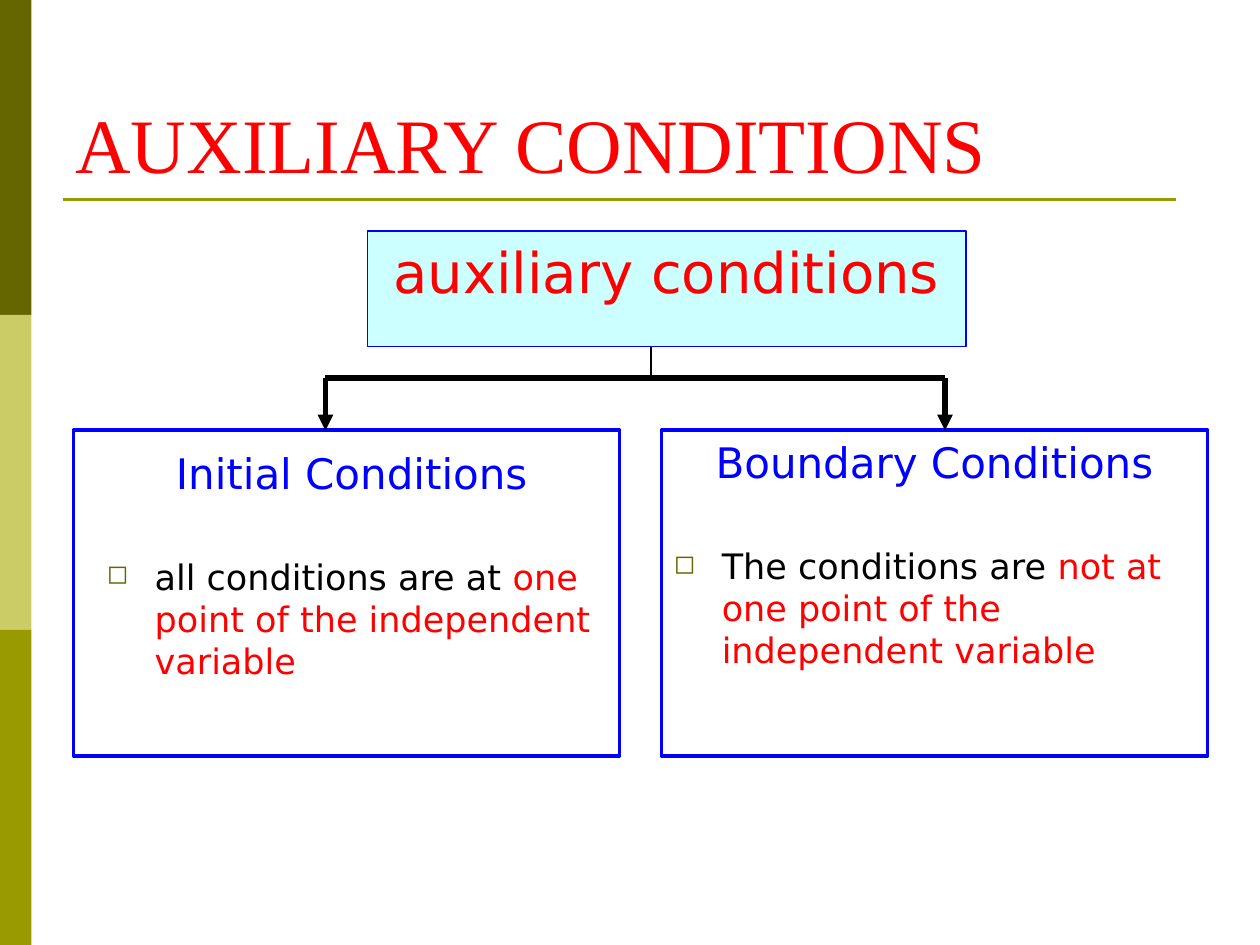
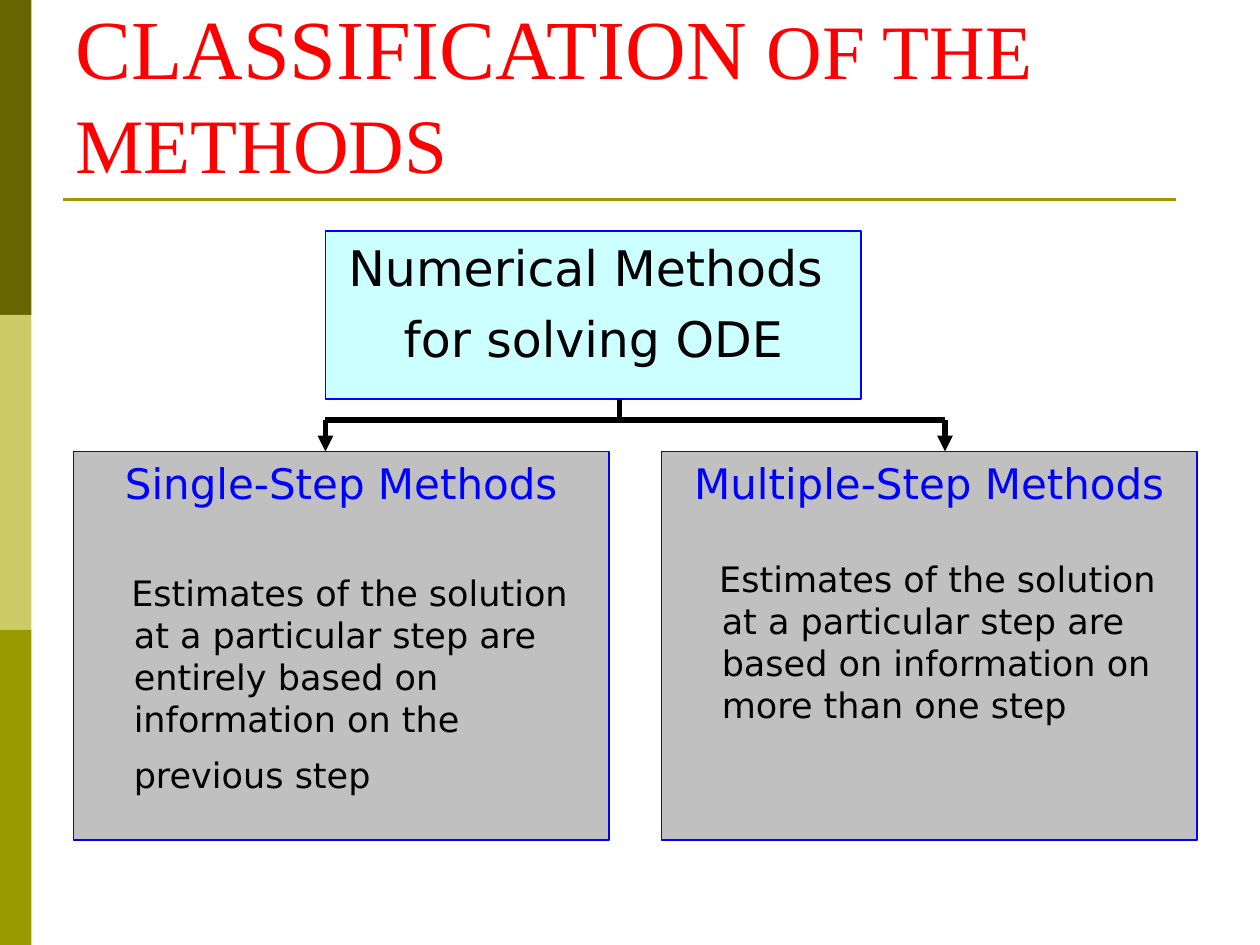
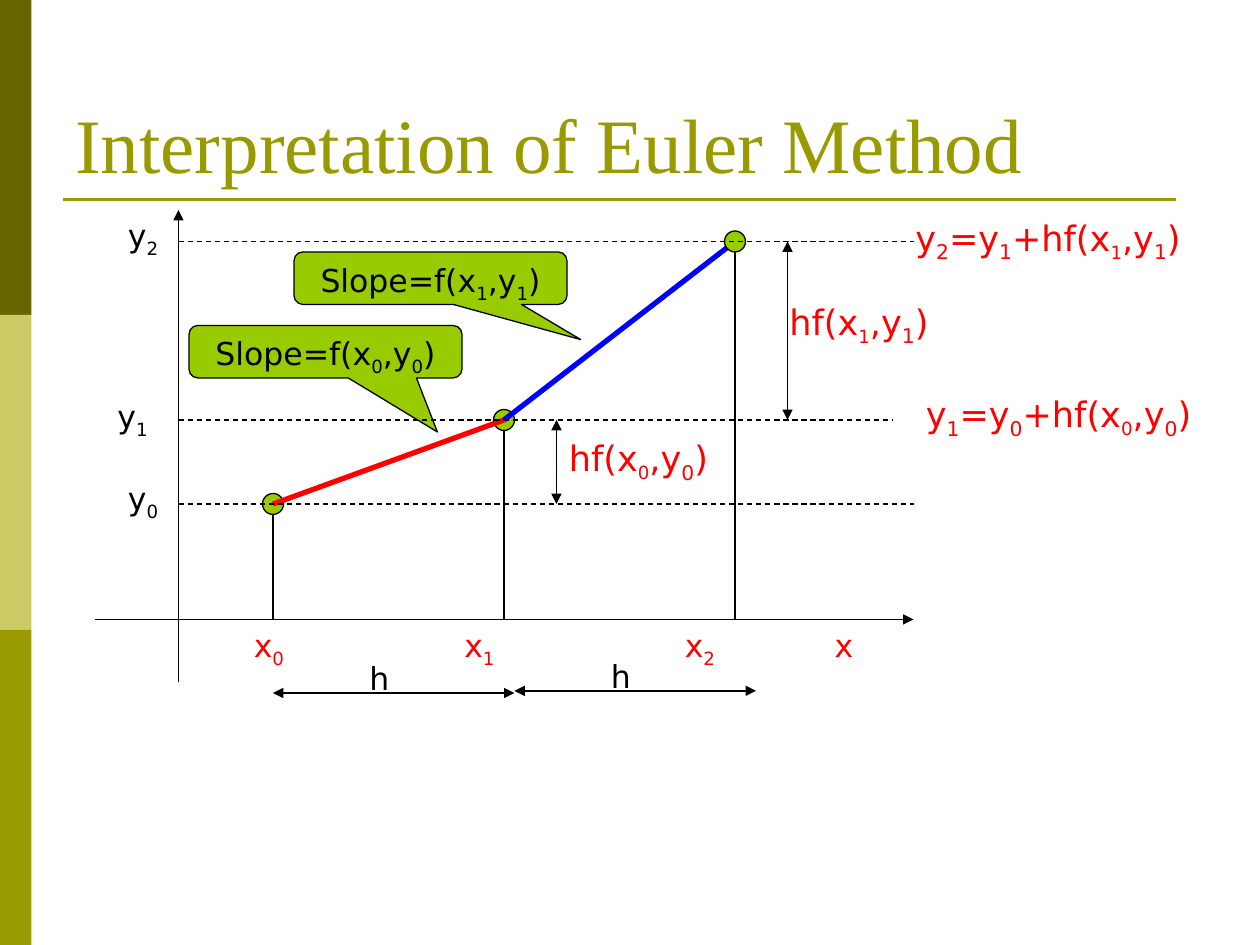
import dataclasses
import itertools

import lxml.etree
import pptx
import pptx.dml.color
import pptx.enum.dml
import pptx.enum.shapes
import pptx.enum.text
import pptx.oxml.ns
import pptx.util

SHAPES = pptx.enum.shapes.MSO_SHAPE
ANCHOR = pptx.enum.text.MSO_ANCHOR
CENTER = pptx.enum.text.PP_ALIGN.CENTER
GROW = pptx.enum.text.MSO_AUTO_SIZE.SHAPE_TO_FIT_TEXT
DASH = pptx.enum.dml.MSO_LINE.DASH


@dataclasses.dataclass(frozen=True)
class Theme:
    title_font: str = "Times New Roman"
    body_font: str = "DejaVu Sans"
    black: str = "000000"
    red: str = "FF0000"
    blue: str = "0000FF"
    olive: str = "999900"
    dark_olive: str = "666600"
    pale_olive: str = "CCCC66"
    cyan: str = "CCFFFF"
    gray: str = "C0C0C0"
    lime: str = "99CC00"
    title: int = 44
    big_title: int = 48
    root: int = 32
    method_root: int = 28
    heading: int = 24
    body: int = 20
    label: int = 18
    hairline: float = 0.75
    rule: float = 1.5
    frame: float = 2.25
    thick: float = 3


THEME = Theme()


def rgb(colour):
    return pptx.dml.color.RGBColor.from_string(colour)


def apply(target, values):
    for attribute, value in values.items():
        setattr(target, attribute, value)


def add_xml(parent, tag, **attributes):
    return lxml.etree.SubElement(parent, pptx.oxml.ns.qn(tag), attributes)


def run(text, size, colour=THEME.black, font=THEME.body_font, baseline=0):
    return dict(text=text, size=size, colour=colour, font=font, baseline=baseline)


def para(*runs, bullet=False, hanging=None, tabs=(), **values):
    return dict(runs=runs, bullet=bullet, hanging=hanging, tabs=tabs, values=values)


def formula(text, size, colour=THEME.black):
    base, *tails = text.split("_")
    runs = [run(base, size, colour)]
    for tail in tails:
        sub_size = THEME.label if base.endswith("x") else size
        runs.append(run(tail[0], sub_size, colour, baseline=-25000))
        base = tail[1:]
        if base:
            runs.append(run(base, size, colour))
    return runs


class Deck:
    COLUMNS, ROWS = 120, 90

    def __init__(self, theme):
        self.theme = theme
        self.presentation = pptx.Presentation()
        apply(self.presentation, dict(
            slide_width=pptx.util.Inches(10), slide_height=pptx.util.Inches(7.5)))
        self.slide = None

    def place(self, *lengths):
        sizes = itertools.cycle((
            self.presentation.slide_width / self.COLUMNS,
            self.presentation.slide_height / self.ROWS))
        return [round(length * size) for length, size in zip(lengths, sizes)]

    def new_slide(self, *title_runs):
        theme = self.theme
        self.slide = self.presentation.slides.add_slide(self.presentation.slide_layouts[6])
        band = self.ROWS / 3
        for row, colour in enumerate((theme.dark_olive, theme.pale_olive, theme.olive)):
            self.box((0, row * band, 3, band), fill=colour)
        self.line((6, 19), (112, 19), theme.olive, theme.rule)
        self.text((6, 3.6, 108, 15), para(*title_runs), vertical_anchor=ANCHOR.BOTTOM)

    def set_text(self, frame, paragraphs, **values):
        margins = dict(margin_left=0.1, margin_right=0.1, margin_top=0.05, margin_bottom=0.05)
        apply(frame, {side: pptx.util.Inches(gap) for side, gap in margins.items()})
        apply(frame, dict(word_wrap=True, vertical_anchor=ANCHOR.TOP) | values)
        for index, content in enumerate(paragraphs):
            paragraph = frame.add_paragraph() if index else frame.paragraphs[0]
            properties = paragraph._p.get_or_add_pPr()
            if content["hanging"]:
                properties.set("marL", str(pptx.util.Inches(0.38)))
                properties.set("indent", str(-pptx.util.Inches(content["hanging"])))
            if content["bullet"]:
                colour = add_xml(properties, "a:buClr")
                add_xml(colour, "a:srgbClr", val=self.theme.dark_olive)
                add_xml(properties, "a:buSzPct", val="75000")
                add_xml(properties, "a:buChar", char="◻")
            if content["tabs"]:
                stops = add_xml(properties, "a:tabLst")
                for stop in content["tabs"]:
                    add_xml(stops, "a:tab", pos=str(pptx.util.Inches(stop)), algn="l")
            apply(paragraph, content["values"])
            for part in content["runs"]:
                piece = paragraph.add_run()
                piece.text = part["text"]
                apply(piece.font, dict(size=pptx.util.Pt(part["size"]), name=part["font"]))
                piece.font.color.rgb = rgb(part["colour"])
                if part["baseline"]:
                    piece._r.get_or_add_rPr().set("baseline", str(part["baseline"]))

    def text(self, area, *paragraphs, **values):
        holder = self.slide.shapes.add_textbox(*self.place(*area))
        self.set_text(holder.text_frame, paragraphs, **values)

    def label(self, area, content, size, colour=THEME.black, tabs=()):
        self.text(area, para(*formula(content, size, colour), tabs=tabs), auto_size=GROW)

    def box(self, area, *paragraphs, fill=None, outline=None, weight=THEME.hairline,
            kind=SHAPES.RECTANGLE, adjust=()):
        shape = self.slide.shapes.add_shape(kind, *self.place(*area))
        shape.shadow.inherit = False
        for index, value in enumerate(adjust):
            shape.adjustments[index] = value
        if fill:
            shape.fill.solid()
            shape.fill.fore_color.rgb = rgb(fill)
        else:
            shape.fill.background()
        if outline:
            shape.line.color.rgb = rgb(outline)
            shape.line.width = pptx.util.Pt(weight)
        else:
            shape.line.fill.background()
        if paragraphs:
            self.set_text(shape.text_frame, paragraphs)

    def line(self, start, end, colour=THEME.black, weight=THEME.hairline, dash=None, arrows=()):
        connector = self.slide.shapes.add_connector(
            pptx.enum.shapes.MSO_CONNECTOR.STRAIGHT, *self.place(*start, *end))
        connector.line.color.rgb = rgb(colour)
        apply(connector.line, dict(width=pptx.util.Pt(weight), dash_style=dash))
        for arrow in arrows:
            add_xml(connector.line._get_or_add_ln(), f"a:{arrow}End", type="triangle")
        add_xml(connector._element.spPr, "a:effectLst")

    def span(self, start, end):
        self.line(start, end, arrows=("head", "tail"))

    def branch(self, stem, top, bar, bottom, stem_weight):
        left, right = 31, 90
        thick = self.theme.thick
        self.line((stem, top), (stem, bar), weight=stem_weight)
        self.line((left, bar), (right, bar), weight=thick)
        for column in (left, right):
            self.line((column, bar), (column, bottom), weight=thick, arrows=("tail",))

    def dot(self, column, row):
        self.box((column - 1, row - 1, 2, 2), fill=self.theme.lime,
                 outline=self.theme.black, kind=SHAPES.OVAL)

    def callout(self, area, content, adjust):
        self.box(area, para(*formula(content, self.theme.label), alignment=CENTER),
                 fill=self.theme.lime, outline=self.theme.black,
                 kind=SHAPES.ROUNDED_RECTANGULAR_CALLOUT, adjust=adjust)


def title_run(text, colour=THEME.red, size=THEME.title):
    return run(text, size, colour, THEME.title_font)


def heading(text):
    return para(run(text, THEME.heading, THEME.blue), alignment=CENTER)


def auxiliary_conditions(deck):
    theme = deck.theme
    deck.new_slide(title_run("AUXILIARY CONDITIONS"))
    conditions = (
        ((63, 41, 52, 30), 63, "Boundary Conditions", "The conditions are ",
         "not at one point of the independent variable"),
        ((9, 42, 49, 28), 7, "Initial Conditions", "all conditions are at ",
         "one point of the independent variable"),
    )
    for area, frame_left, name, opening, emphasis in conditions:
        rule = para(run(opening, theme.body), run(emphasis, theme.body, theme.red),
                    bullet=True, hanging=0.38, space_before=pptx.util.Pt(33))
        deck.text(area, heading(name), rule)
        deck.box((frame_left, 41, 52, 31), outline=theme.blue, weight=theme.frame)
    deck.box((35, 22, 57, 11),
             para(run("auxiliary conditions", theme.root, theme.red), alignment=CENTER),
             fill=theme.cyan, outline=theme.blue)
    deck.branch(62, 33, 36, 41, theme.hairline)


def classification(deck):
    theme = deck.theme
    deck.new_slide(title_run("CLASSIFICATION", size=theme.big_title),
                   title_run(" OF THE METHODS"))
    deck.box((31, 22, 51, 16),
             para(run("Numerical Methods ", theme.method_root), alignment=CENTER),
             para(run("for solving ODE", theme.method_root), alignment=CENTER,
                  space_before=pptx.util.Pt(7)),
             fill=theme.cyan, outline=theme.blue)
    methods = (
        (63, "Multiple-Step Methods", 28,
         [run("Estimates of the solution at a particular step are based on information "
              "on more than one step", theme.body)]),
        (7, "Single-Step Methods", 36,
         [run("Estimates of the solution at a particular step are entirely based on "
              "information on the previous step", theme.body), run(" ", theme.method_root)]),
    )
    for left, name, gap, description in methods:
        deck.box((left, 43, 51, 37), heading(name),
                 para(*description, hanging=0.02, space_before=pptx.util.Pt(gap)),
                 fill=theme.gray, outline=theme.blue)
    deck.branch(59, 38, 40, 43, theme.thick)


def euler_method(deck):
    theme = deck.theme
    deck.new_slide(title_run("Interpretation of Euler Method", theme.olive))
    axis_row, axis_column = 59, 17
    steps = ((26, 48), (48, 40), (70, 23))
    deck.line((9, axis_row), (87, axis_row), arrows=("tail",))
    deck.line((axis_column, 65), (axis_column, 20), arrows=("tail",))
    for column, row in steps:
        deck.line((column, axis_row), (column, row))
    for step in steps[:-1]:
        deck.dot(*step)
    for start, end, colour in zip(steps, steps[1:], (theme.red, theme.blue)):
        deck.line(start, end, colour, theme.thick)
    deck.dot(*steps[-1])

    deck.callout((18, 31, 26, 5), "Slope=f(x_0,y_0)", (0.41, 1.53, 0.17))
    deck.callout((28, 24, 26, 5), "Slope=f(x_1,y_1)", (0.55, 1.17, 0.17))
    for (_, row), guide_end in zip(steps, (87, 85, 87)):
        deck.line((axis_column, row), (guide_end, row), dash=DASH)

    for start, end in (((26, 66), (49, 66)), ((49, 65.8), (72, 65.8)),
                       ((53, 48), (53, 40)), ((75, 40), (75, 23))):
        deck.span(start, end)
    for left, top in ((34, 62.2), (57, 62)):
        deck.label((left, top, 16, 4.8), "h", theme.label)
    for left, top, name in ((11, 45, "y_0"), (10, 37.2, "y_1"), (11, 20, "y_2")):
        deck.label((left, top, 16, 5.3), name, theme.label)
    deck.label((23, 59, 66, 5.3), "x_0\tx_1\tx_2\tx", theme.label, theme.red,
               tabs=(1.67, 3.42, 4.61))
    for left, top, width, content in (
            (87, 36.8, 29, "y_1=y_0+hf(x_0,y_0)"), (53, 41, 38, "hf(x_0,y_0)"),
            (86, 20, 29, "y_2=y_1+hf(x_1,y_1)"), (74, 28, 38, "hf(x_1,y_1)")):
        deck.label((left, top, width, 5.8), content, theme.body, theme.red)


def main():
    deck = Deck(THEME)
    for build in (auxiliary_conditions, classification, euler_method):
        build(deck)
    deck.presentation.save("out.pptx")


if __name__ == "__main__":
    main()
